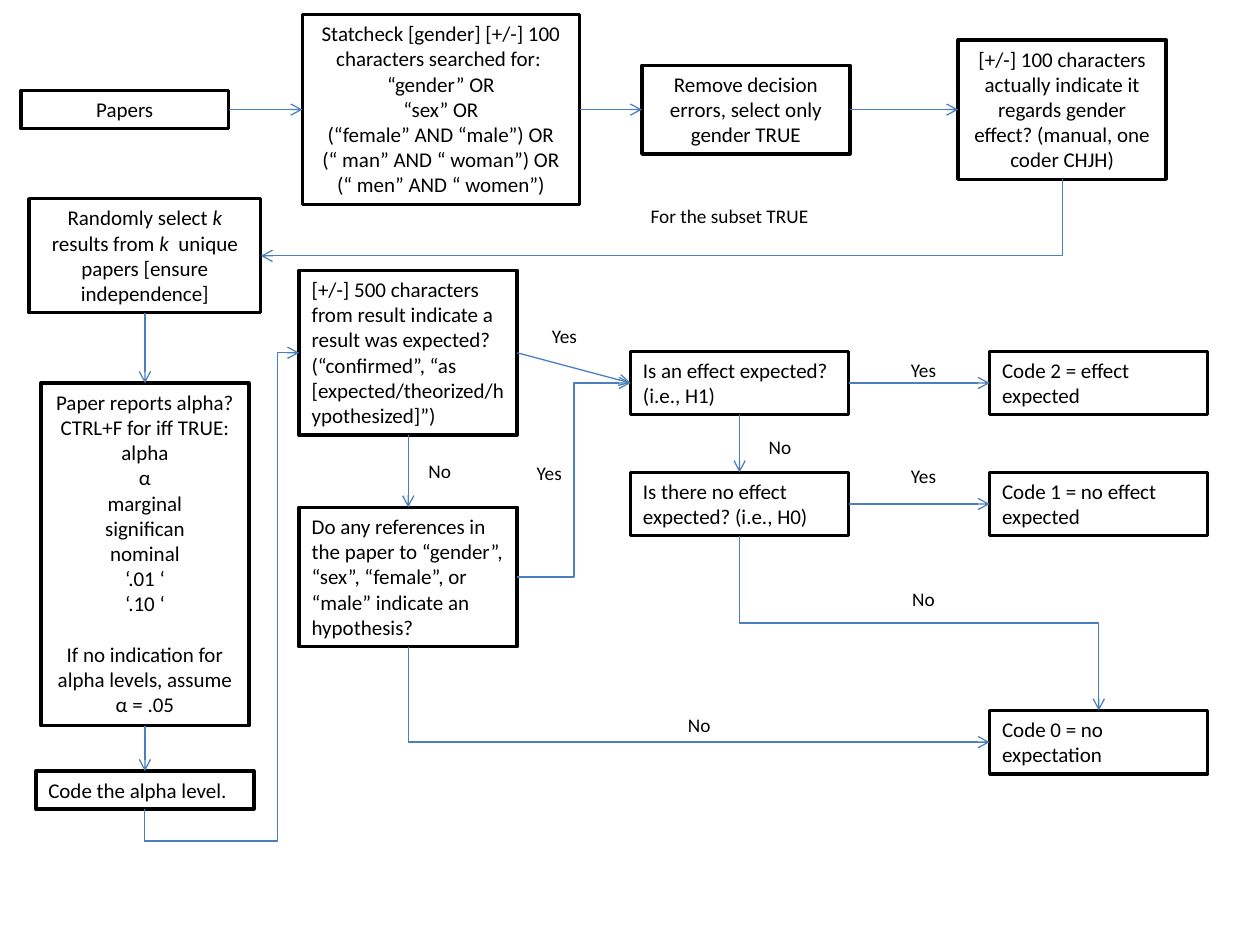
from lxml.etree import SubElement
from pptx import Presentation
from pptx.dml.color import RGBColor
from pptx.enum.shapes import MSO_CONNECTOR, MSO_SHAPE
from pptx.enum.text import MSO_ANCHOR, MSO_AUTO_SIZE, PP_ALIGN
from pptx.oxml.ns import qn
from pptx.util import Inches, Pt

COLORS = {"paper": "FFFFFF", "ink": "000000", "arrow": "4B7EBC"}
FONT = "Calibri"
LINE_HEIGHT, PADDING = Pt(14.5), Inches(0.1)
TOP, LEFT, BOTTOM, RIGHT = range(4)  # connection sites of a rectangle

# Centre lines of the grid, in inches
COLUMNS = {"papers": 0.99, "alpha": 1.15, "evidence": 3.24, "search": 3.5,
           "question": 5.87, "filter": 5.92, "manual": 8.43, "code": 8.72}
ROWS = {"screening": 0.87, "sample": 2.03, "result": 2.8, "h1": 3.04, "h0": 4,
        "alpha": 4.4, "references": 4.58, "none": 5.89, "level": 6.27}
NARROW, STANDARD, MEDIUM, WIDE = 1.65, 1.73, 1.84, 2.2

# name: (column, row, width, text lines high, centred, paragraphs); *...* is italic
STEPS = {
    "papers": ("papers", "screening", NARROW, 1, True, ["Papers"]),
    "search": ("search", "screening", WIDE, 7, True, [
        "Statcheck [gender] [+/-] 100 characters searched for: ",
        "“gender” OR", "“sex” OR", "(“female” AND “male”) OR",
        "(“ man” AND “ woman”) OR", "(“ men” AND “ women”)"]),
    "filter": ("filter", "screening", NARROW, 3, True,
               ["Remove decision errors, select only gender TRUE"]),
    "manual": ("manual", "screening", NARROW, 5, True, [
        "[+/-] 100 characters actually indicate it regards gender effect? "
        "(manual, one coder CHJH)"]),
    "sample": ("alpha", "sample", MEDIUM, 4, True, [
        "Randomly select *k *results from *k  *unique papers [ensure independence]"]),
    "alpha": ("alpha", "alpha", NARROW, 13, True, [
        "Paper reports alpha? CTRL+F for iff TRUE:", "alpha", "α", "marginal",
        "significan", "nominal", "‘.01 ‘", "‘.10 ‘",
        "If no indication for alpha levels, assume α = .05"]),
    "level": ("alpha", "level", STANDARD, 1, False, ["Code the alpha level."]),
    "result": ("evidence", "result", STANDARD, 6, False, [
        "[+/-] 500 characters from result indicate a result was expected? "
        "(“confirmed”, “as [expected/theorized/hypothesized]”) "]),
    "references": ("evidence", "references", STANDARD, 5, False, [
        "Do any references in the paper to “gender”, “sex”, “female”, or “male” "
        "indicate an hypothesis?"]),
    "h1": ("question", "h1", STANDARD, 2, False, ["Is an effect expected? (i.e., H1)"]),
    "h0": ("question", "h0", STANDARD, 2, False,
           ["Is there no effect expected? (i.e., H0)"]),
    "code 2": ("code", "h1", STANDARD, 2, False, ["Code 2 = effect expected"]),
    "code 1": ("code", "h0", STANDARD, 2, False, ["Code 1 = no effect expected"]),
    "code 0": ("code", "none", STANDARD, 2, False, ["Code 0 = no expectation"]),
}

STRAIGHT_LINKS = [
    ("papers", RIGHT, "search", LEFT), ("search", RIGHT, "filter", LEFT),
    ("filter", RIGHT, "manual", LEFT), ("sample", BOTTOM, "alpha", TOP),
    ("alpha", BOTTOM, "level", TOP), ("result", RIGHT, "h1", LEFT),
    ("result", BOTTOM, "references", TOP), ("h1", BOTTOM, "h0", TOP),
    ("h1", RIGHT, "code 2", LEFT), ("h0", RIGHT, "code 1", LEFT),
]

# link, preset, rotation in degrees, flips, adjustments
BENT_LINKS = [
    (("manual", BOTTOM, "sample", RIGHT), "bentConnector2", 90, "", ()),
    (("references", BOTTOM, "code 0", LEFT), "bentConnector2", 270, "H", ()),
    (("references", RIGHT, "h1", LEFT), "bentConnector3", 0, "V", (0.5,)),
    (("h0", BOTTOM, "code 0", TOP), "bentConnector3", 270, "H", (0.5,)),
    (("level", BOTTOM, "result", LEFT), "bentConnector4", 90, "HV", (-0.07, 0.86)),
]

# text, centre x, centre y, width
ANSWERS = [
    ("For the subset TRUE", 5.79, 1.72, 2.36),
    ("Yes", 4.48, 2.67, 0.54), ("No", 3.49, 3.74, 0.54),
    ("Yes", 4.36, 3.76, 0.54), ("No", 6.19, 3.55, 0.54),
    ("Yes", 7.33, 2.94, 0.54), ("Yes", 7.33, 3.78, 0.54),
    ("No", 7.33, 4.76, 0.54), ("No", 5.55, 5.76, 0.54),
]


def rgb(name):
    """Return a palette colour."""
    return RGBColor.from_string(COLORS[name])


def write(frame, paragraphs, size, alignment):
    """Fill a text frame, with italics between asterisks."""
    frame.word_wrap = True
    frame.auto_size = MSO_AUTO_SIZE.SHAPE_TO_FIT_TEXT
    for index, wording in enumerate(paragraphs):
        paragraph = frame.add_paragraph() if index else frame.paragraphs[0]
        paragraph.alignment = alignment
        for part, piece in enumerate(wording.split("*")):
            run = paragraph.add_run()
            run.text = piece
            run.font.name, run.font.size = FONT, Pt(size)
            run.font.color.rgb = rgb("ink")
            if part % 2:
                run.font.italic = True


def add_step(slide, column, row, width, lines, centred, paragraphs):
    """Draw a step as a framed box centred on its column and row."""
    breadth, height = Inches(width), int(lines * LINE_HEIGHT + PADDING)
    step = slide.shapes.add_shape(
        MSO_SHAPE.RECTANGLE, Inches(COLUMNS[column]) - breadth // 2,
        Inches(ROWS[row]) - height // 2, breadth, height)
    step.shadow.inherit = False
    step.fill.solid()
    step.fill.fore_color.rgb = rgb("paper")
    step.line.color.rgb = rgb("ink")
    step.line.width = Pt(2)
    step.text_frame.vertical_anchor = MSO_ANCHOR.TOP
    write(step.text_frame, paragraphs, 12,
          PP_ALIGN.CENTER if centred else PP_ALIGN.LEFT)
    return step


def add_answer(slide, wording, x, y, width):
    """Write a centred label beside an arrow."""
    height = 0.29
    answer = slide.shapes.add_textbox(
        Inches(x - width / 2), Inches(y - height / 2), Inches(width), Inches(height))
    write(answer.text_frame, [wording], 11, PP_ALIGN.CENTER)


def add_link(slide, steps, link, kind=MSO_CONNECTOR.STRAIGHT):
    """Draw an arrow glued to two steps."""
    source, source_site, target, target_site = link
    arrow = slide.shapes.add_connector(kind, 0, 0, 0, 0)
    arrow.begin_connect(steps[source], source_site)
    arrow.end_connect(steps[target], target_site)
    arrow.line.color.rgb = rgb("arrow")
    arrow.line.width = Pt(0.75)
    properties = arrow.element.spPr
    SubElement(properties.find(qn("a:ln")), qn("a:tailEnd"), type="arrow")
    SubElement(properties, qn("a:effectLst"))
    return arrow


def bend(arrow, preset, rotation, flips, adjustments):
    """Turn an elbow arrow about its centre and set its corners."""
    width, height = arrow.width, arrow.height
    if rotation % 180:
        shift = (width - height) // 2
        arrow.left, arrow.top = arrow.left + shift, arrow.top - shift
        arrow.width, arrow.height = height, width
    frame = arrow.element.spPr.find(qn("a:xfrm"))
    frame.set("rot", str(rotation * 60000))
    for axis in "HV":
        frame.set("flip" + axis, str(int(axis in flips)))
    geometry = arrow.element.spPr.find(qn("a:prstGeom"))
    geometry.set("prst", preset)
    guides = geometry.find(qn("a:avLst"))
    if guides is None:
        guides = SubElement(geometry, qn("a:avLst"))
    for number, share in enumerate(adjustments, 1):
        SubElement(guides, qn("a:gd"), name=f"adj{number}",
                   fmla=f"val {round(share * 100000)}")


def main():
    """Build the coding flowchart."""
    deck = Presentation()
    deck.slide_width, deck.slide_height = Inches(10), Inches(7.5)
    slide = deck.slides.add_slide(deck.slide_layouts[6])
    steps = {name: add_step(slide, *step) for name, step in STEPS.items()}
    steps["alpha"].text_frame.paragraphs[-1].space_before = LINE_HEIGHT
    for link in STRAIGHT_LINKS:
        add_link(slide, steps, link)
    for link, *shape in BENT_LINKS:
        bend(add_link(slide, steps, link, MSO_CONNECTOR.ELBOW), *shape)
    for answer in ANSWERS:
        add_answer(slide, *answer)
    deck.save("out.pptx")


main()
